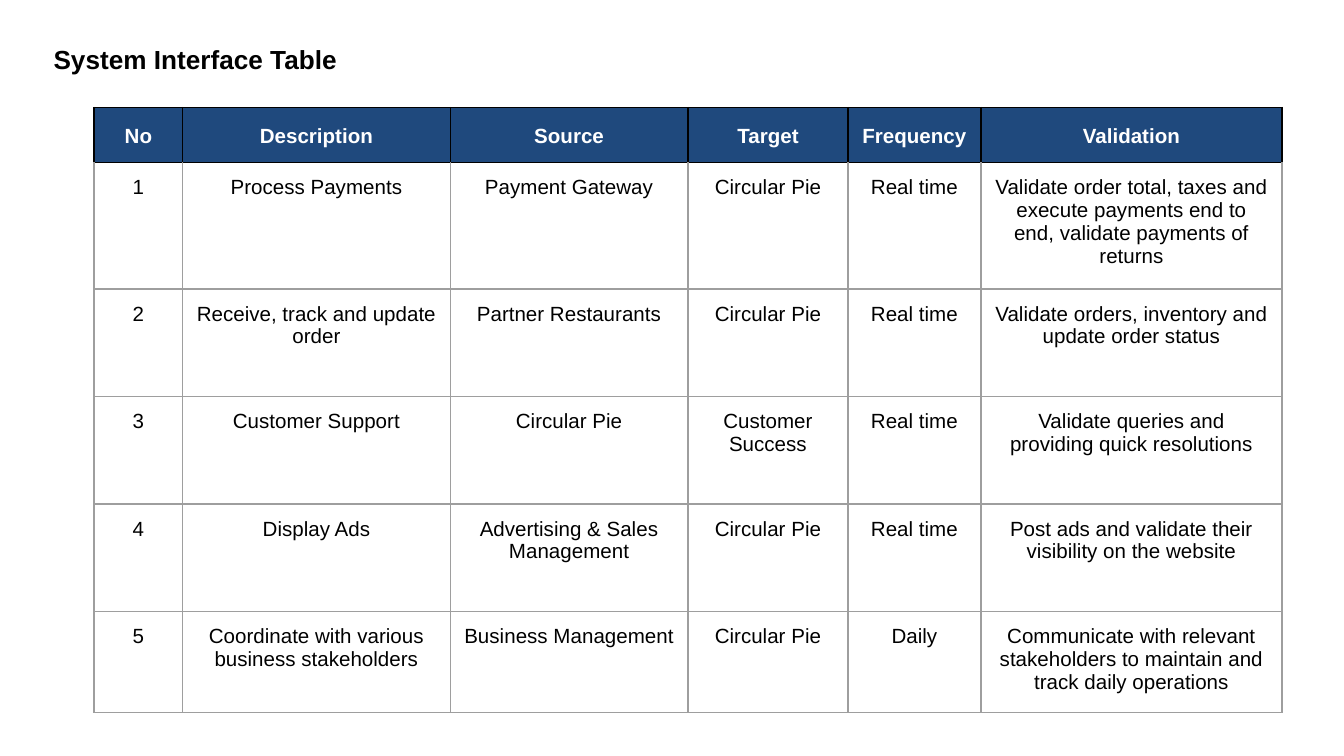
import pptx
import pptx.dml.color
import pptx.enum.text
import pptx.oxml
import pptx.oxml.ns
import pptx.util
from pptx.util import Inches

TITLE = "System Interface Table"
HEADINGS = ("No", "Description", "Source", "Target", "Frequency", "Validation")
INTERFACES = [
    ("Process Payments", "Payment Gateway", "Circular Pie", "Real time",
     "Validate order total, taxes and execute payments end to end, "
     "validate payments of returns"),
    ("Receive, track and update order", "Partner Restaurants", "Circular Pie",
     "Real time", "Validate orders, inventory and update order status"),
    ("Customer Support", "Circular Pie", "Customer Success", "Real time",
     "Validate queries and providing quick resolutions"),
    ("Display Ads", "Advertising & Sales Management", "Circular Pie", "Real time",
     "Post ads and validate their visibility on the website"),
    ("Coordinate with various business stakeholders", "Business Management",
     "Circular Pie", "Daily",
     "Communicate with relevant stakeholders to maintain and track daily operations"),
]
COLUMN_WIDTHS = (0.66, 1.99, 1.77, 1.19, 0.99, 2.24)
ROW_HEIGHTS = (0.41, 0.94, 0.8, 0.8, 0.8, 0.75)
BLACK, WHITE, NAVY, GREY = "000000", "FFFFFF", "1F497D", "9E9E9E"


def rgb(value):
    """Turn a hex string into a colour."""
    return pptx.dml.color.RGBColor.from_string(value)


def add_run(paragraph, text, size, color, bold):
    """Add one Arial run to a paragraph."""
    run = paragraph.add_run()
    run.text = text
    run.font.name = "Arial"
    run.font.size = pptx.util.Pt(size)
    run.font.bold = bold
    run.font.color.rgb = rgb(color)


def set_borders(cell, color, top):
    """Draw thin lines on all four sides of a cell."""
    properties = cell._tc.get_or_add_tcPr()
    for side, line in (("L", color), ("R", color), ("T", top), ("B", color)):
        properties.append(pptx.oxml.parse_xml(
            f'<a:ln{side} {pptx.oxml.ns.nsdecls("a")} w="9525"><a:solidFill>'
            f'<a:srgbClr val="{line}"/></a:solidFill></a:ln{side}>'))


def fill_cell(cell, text, row):
    """Write and style one cell of the given row."""
    heading = row == 0
    set_borders(cell, BLACK if heading else GREY, BLACK if row < 2 else GREY)
    cell.margin_left = cell.margin_right = Inches(0.03 if heading else 0.1)
    cell.margin_top = cell.margin_bottom = Inches(0.1)
    paragraph = cell.text_frame.paragraphs[0]
    paragraph.alignment = pptx.enum.text.PP_ALIGN.CENTER
    if heading:
        cell.vertical_anchor = pptx.enum.text.MSO_ANCHOR.MIDDLE
        paragraph.line_spacing = 1.15
        cell.fill.solid()
        cell.fill.fore_color.rgb = rgb(NAVY)
    else:
        cell.fill.background()
    add_run(paragraph, text, 11, WHITE if heading else BLACK, heading)


def add_title(slide):
    """Place the slide title."""
    frame = slide.shapes.add_textbox(
        Inches(0.3), Inches(0.22), Inches(3.25), Inches(0.44)).text_frame
    frame.word_wrap = True
    frame.margin_left = frame.margin_right = Inches(0.1)
    frame.margin_top = frame.margin_bottom = Inches(0.1)
    add_run(frame.paragraphs[0], TITLE, 14, BLACK, True)


def add_interfaces(slide):
    """Place the table, numbering the interfaces from 1."""
    rows = [HEADINGS] + [(str(number), *interface)
                         for number, interface in enumerate(INTERFACES, 1)]
    table = slide.shapes.add_table(
        len(rows), len(HEADINGS), Inches(0.7), Inches(0.8),
        Inches(sum(COLUMN_WIDTHS)), Inches(sum(ROW_HEIGHTS))).table
    table.horz_banding = False
    for column, width in zip(table.columns, COLUMN_WIDTHS):
        column.width = Inches(width)
    for row, (texts, height) in enumerate(zip(rows, ROW_HEIGHTS)):
        table.rows[row].height = Inches(height)
        for column, text in enumerate(texts):
            fill_cell(table.cell(row, column), text, row)


deck = pptx.Presentation()
deck.slide_width = Inches(10)
deck.slide_height = deck.slide_width * 9 // 16
interface_slide = deck.slides.add_slide(deck.slide_layouts[6])
add_title(interface_slide)
add_interfaces(interface_slide)
deck.save("out.pptx")
